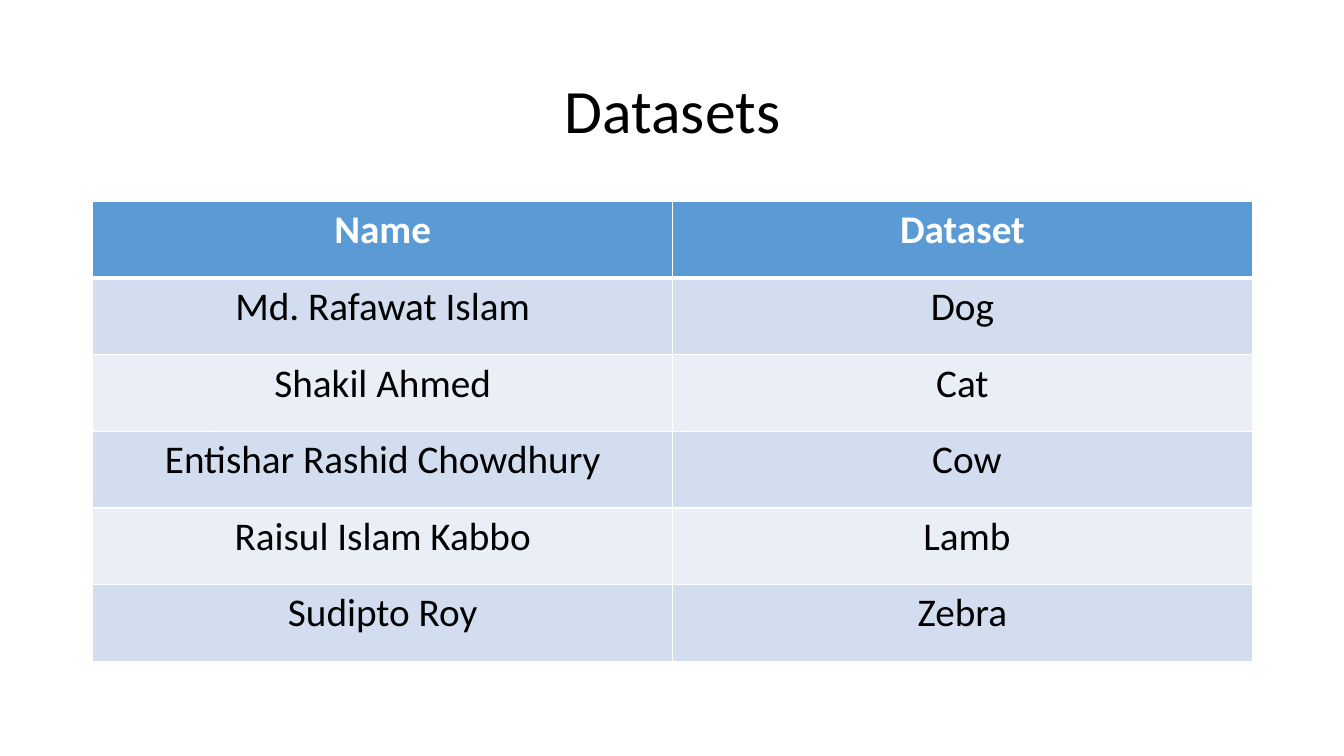
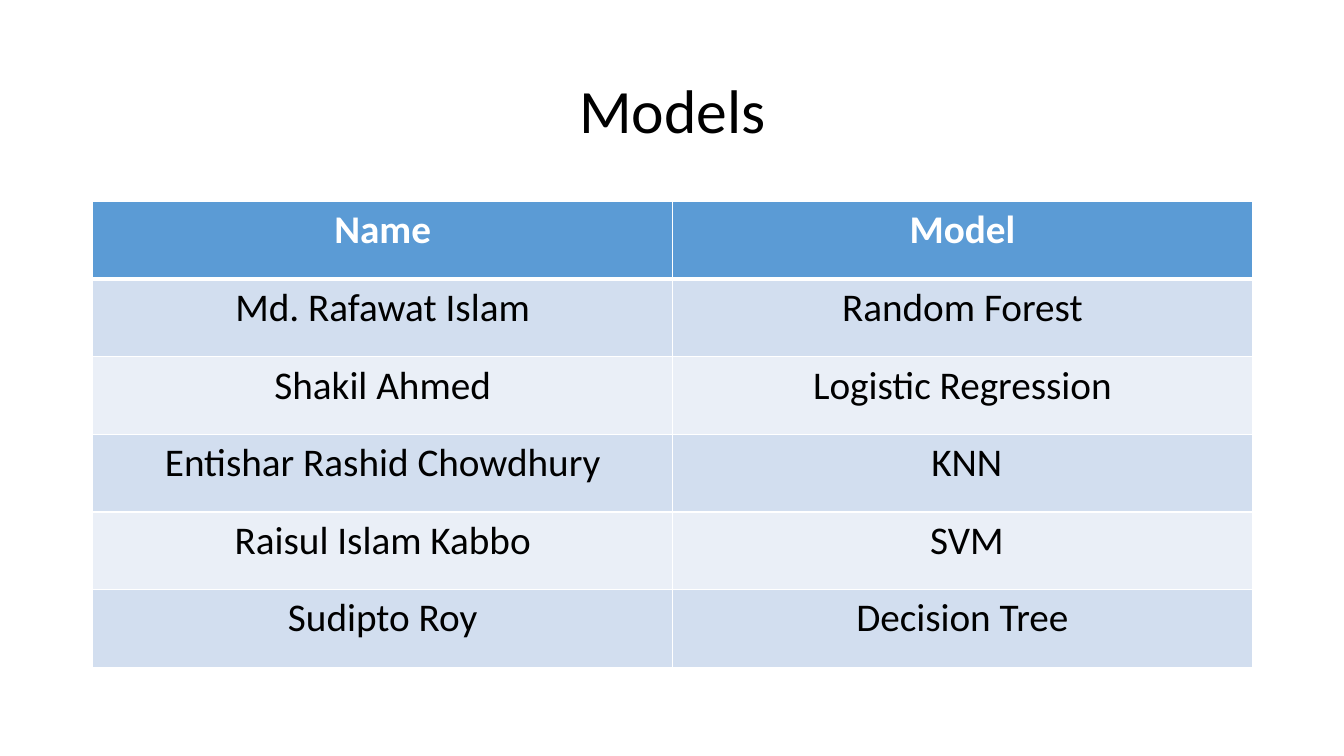
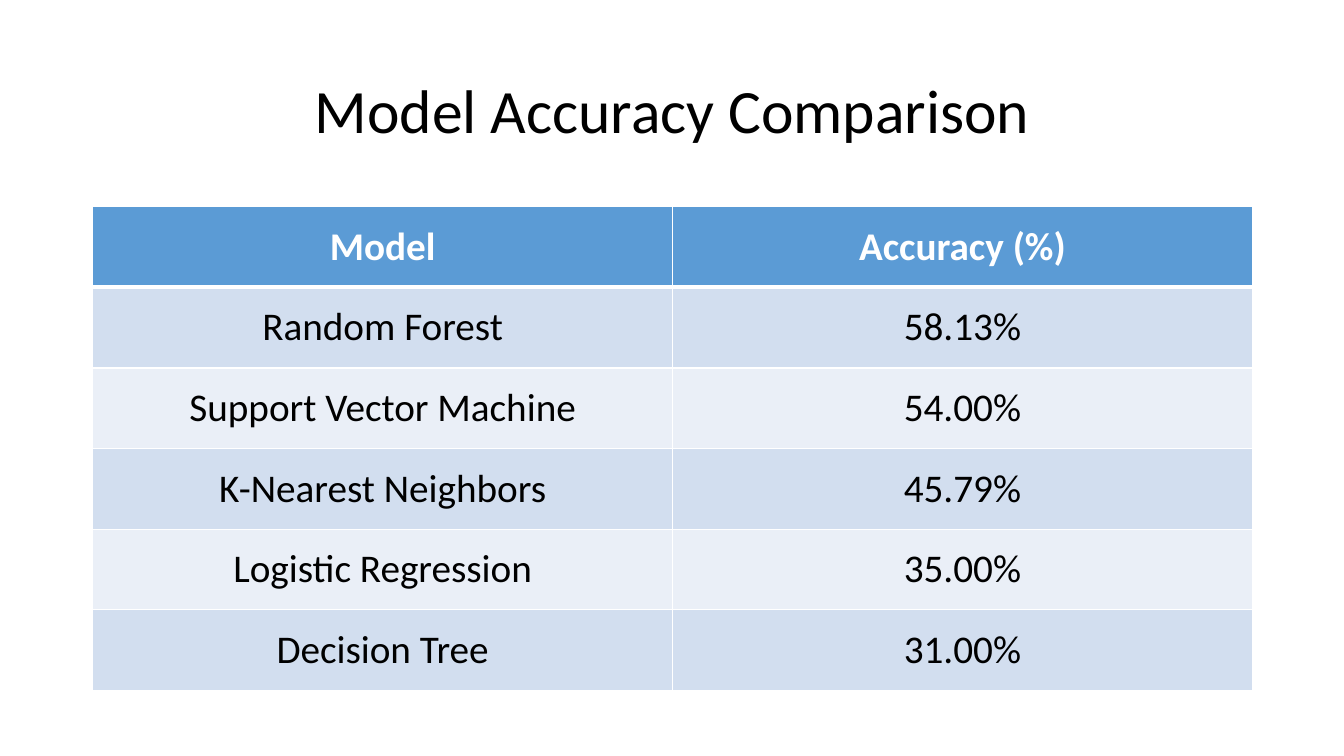
import lxml.etree
import pptx
import pptx.dml.color
import pptx.enum.text
import pptx.oxml.ns
import pptx.util
from pptx.util import Inches

FONT = "Calibri"
COLORS = {
    "text": "000000",
    "header": "5B9BD5",
    "header_text": "FFFFFF",
    "border": "FFFFFF",
    "odd_row": "D2DEEF",
    "even_row": "EAEFF7",
}
LEFT, WIDTH = 0.92, 11.5
TITLE_ONLY = 5
MEMBERS = [
    "Md. Rafawat Islam",
    "Shakil Ahmed",
    "Entishar Rashid Chowdhury",
    "Raisul Islam Kabbo",
    "Sudipto Roy",
]


def rgb(name):
    return pptx.dml.color.RGBColor.from_string(COLORS[name])


def style_paragraph(paragraph, size, color, bold=False):
    paragraph.alignment = pptx.enum.text.PP_ALIGN.CENTER
    paragraph.font.name = FONT
    paragraph.font.size = pptx.util.Pt(size)
    paragraph.font.bold = bold
    paragraph.font.color.rgb = rgb(color)


def add_titled_slide(deck, heading):
    slide = deck.slides.add_slide(deck.slide_layouts[TITLE_ONLY])
    title = slide.shapes.title
    title.left, title.top = Inches(LEFT), Inches(0.4)
    title.width, title.height = Inches(WIDTH), Inches(1.45)
    title.text_frame.text = heading
    title.text_frame.vertical_anchor = pptx.enum.text.MSO_ANCHOR.MIDDLE
    paragraph = title.text_frame.paragraphs[0]
    paragraph.line_spacing = 0.9
    style_paragraph(paragraph, 44, "text")
    return slide


def set_borders(cell, top=1, bottom=1):
    """Draw all four cell borders; widths are in points."""
    properties = cell._tc.get_or_add_tcPr()
    for side, points in (("L", 1), ("R", 1), ("T", top), ("B", bottom)):
        line = lxml.etree.SubElement(
            properties, pptx.oxml.ns.qn(f"a:ln{side}"), w=str(pptx.util.Pt(points)))
        fill = lxml.etree.SubElement(line, pptx.oxml.ns.qn("a:solidFill"))
        lxml.etree.SubElement(
            fill, pptx.oxml.ns.qn("a:srgbClr"), val=COLORS["border"])


def style_cell(cell, row, centred):
    is_header = row == 0
    set_borders(cell, top=3 if row == 1 else 1, bottom=3 if is_header else 1)
    cell.fill.solid()
    band = "odd_row" if row % 2 else "even_row"
    cell.fill.fore_color.rgb = rgb("header" if is_header else band)
    style_paragraph(cell.text_frame.paragraphs[0], 28,
                    "header_text" if is_header else "text", bold=is_header)
    if centred:
        cell.vertical_anchor = pptx.enum.text.MSO_ANCHOR.MIDDLE
        cell.margin_left = cell.margin_right = 0
        cell.margin_top = cell.margin_bottom = 0


def add_banded_table(slide, records, top, row_height, centred=False):
    """Add a table whose first record is the header; centred cells have no margins."""
    columns = len(records[0])
    table = slide.shapes.add_table(
        len(records), columns, Inches(LEFT), Inches(top),
        Inches(WIDTH), Inches(row_height * len(records))).table
    for column in table.columns:
        column.width = Inches(WIDTH / columns)
    for row, record in enumerate(records):
        table.rows[row].height = Inches(row_height)
        for column, value in enumerate(record):
            cell = table.cell(row, column)
            cell.text = value
            style_cell(cell, row, centred)


def main():
    deck = pptx.Presentation()
    deck.slide_width, deck.slide_height = Inches(13.33), Inches(7.5)

    datasets = ["Dog", "Cat", " Cow", " Lamb", "Zebra"]
    slide = add_titled_slide(deck, "Datasets")
    add_banded_table(slide, [("Name", "Dataset"), *zip(MEMBERS, datasets)],
                     top=2, row_height=0.76)

    models = ["Random Forest", "Logistic Regression", " KNN", " SVM", "Decision Tree"]
    slide = add_titled_slide(deck, "Models")
    add_banded_table(slide, [("Name", "Model"), *zip(MEMBERS, models)],
                     top=2, row_height=0.77)

    accuracies = [
        ("Model", "Accuracy (%)"),
        ("Random Forest", "58.13%"),
        ("Support Vector Machine", "54.00%"),
        ("K-Nearest Neighbors", "45.79%"),
        ("Logistic Regression", "35.00%"),
        ("Decision Tree", "31.00%"),
    ]
    slide = add_titled_slide(deck, "Model Accuracy Comparison")
    add_banded_table(slide, accuracies, top=2.05, row_height=0.8, centred=True)

    deck.save("out.pptx")


if __name__ == "__main__":
    main()
